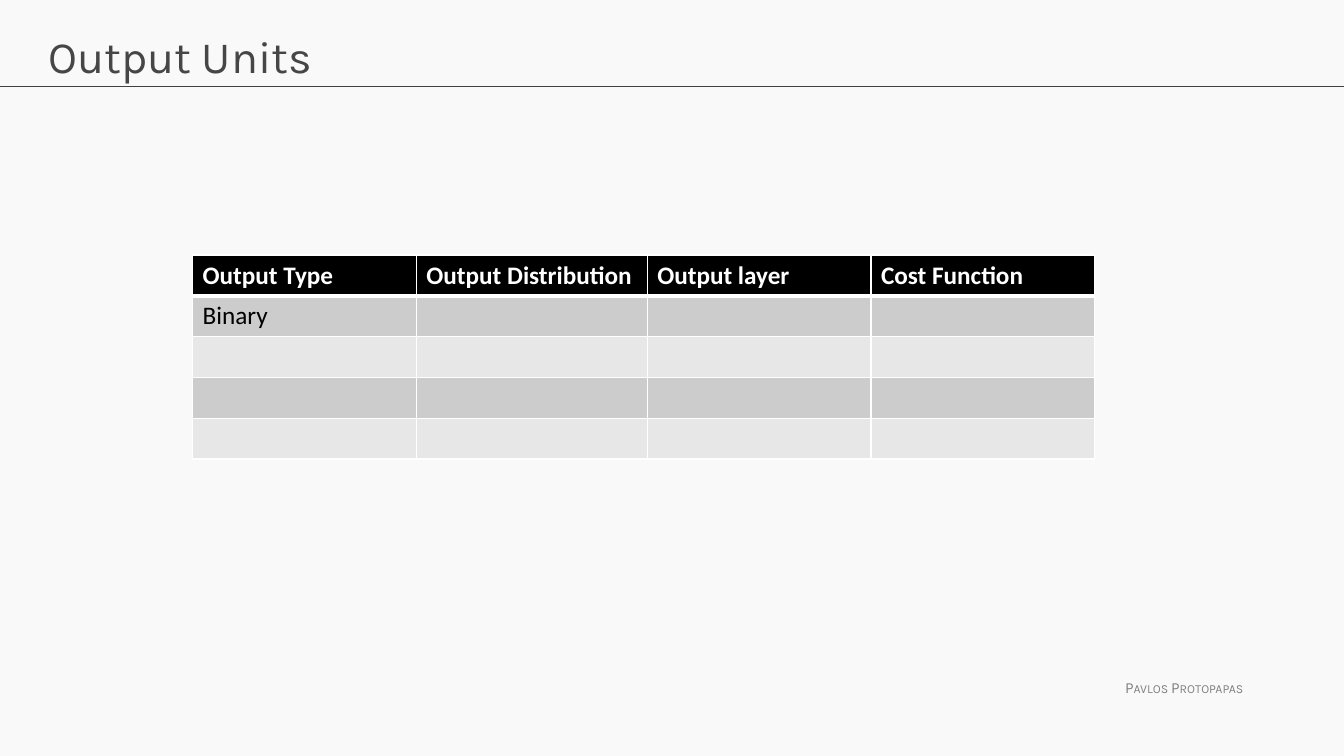
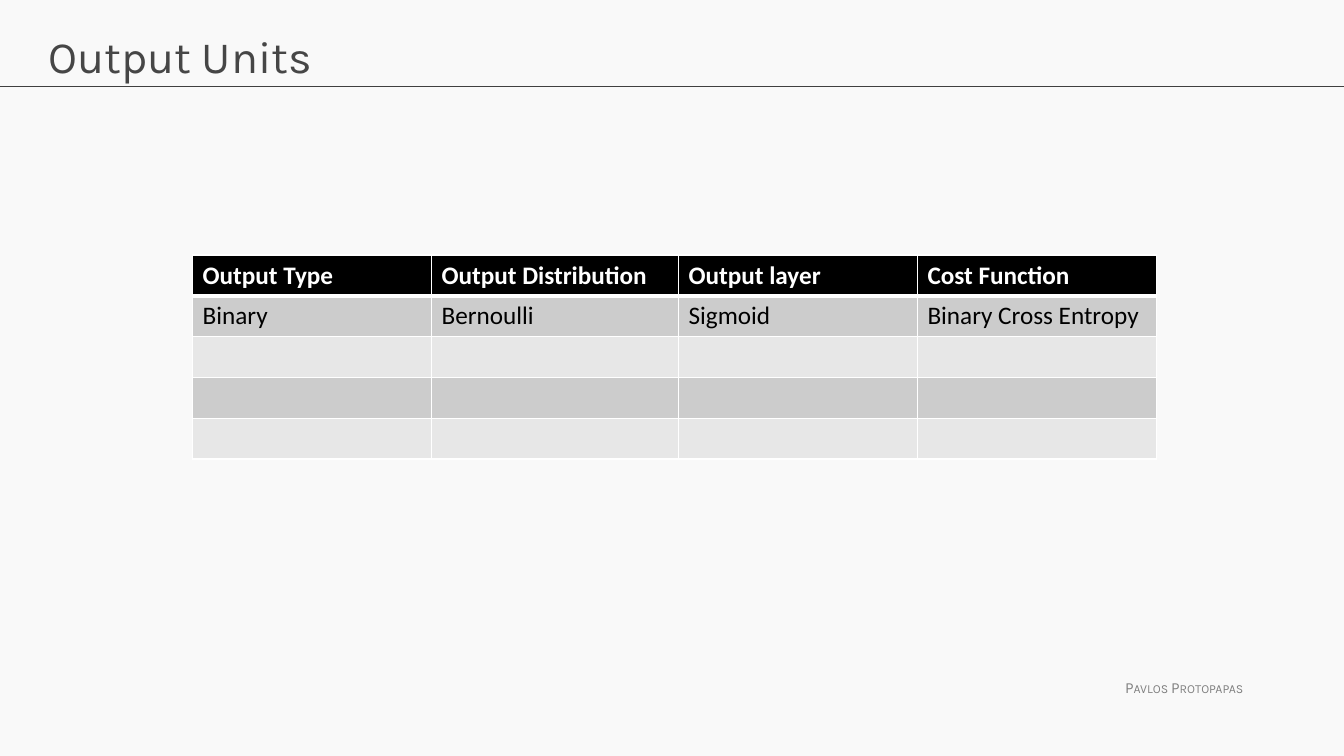
from lxml import etree
from pptx import Presentation
from pptx.dml.color import RGBColor
from pptx.enum.shapes import MSO_CONNECTOR
from pptx.enum.text import MSO_ANCHOR, MSO_AUTO_SIZE
from pptx.oxml.ns import qn
from pptx.util import Inches, Pt

STRAIGHT = MSO_CONNECTOR.STRAIGHT
TOP = MSO_ANCHOR.TOP
FIT_SHAPE = MSO_AUTO_SIZE.SHAPE_TO_FIT_TEXT

BACKGROUND = RGBColor(0xF9, 0xF9, 0xF9)
RULE = RGBColor(0x40, 0x40, 0x40)
TITLE = RGBColor(0x46, 0x46, 0x46)
AUTHOR = RGBColor(0x80, 0x80, 0x80)
BLACK = RGBColor(0x00, 0x00, 0x00)
WHITE = RGBColor(0xFF, 0xFF, 0xFF)
DARK_BAND = RGBColor(0xCC, 0xCC, 0xCC)
LIGHT_BAND = RGBColor(0xE7, 0xE7, 0xE7)

HEADINGS = ["Output Type", "Output Distribution", "Output layer", "Cost Function"]
ROW_COUNT = 5
ROW_HEIGHT = 0.405
TABLES = [
    ([2.22, 2.29, 2.22, 2.22], ["Binary", "", "", ""]),
    ([2.37, 2.45, 2.37, 2.37],
     ["Binary", "Bernoulli", "Sigmoid", "Binary Cross Entropy"]),
]


def add_label(slide, text, left, top, width, height, size, color):
    label = slide.shapes.add_textbox(
        Inches(left), Inches(top), Inches(width), Inches(height))
    label.text_frame.text = text
    label.text_frame.vertical_anchor = TOP
    font = label.text_frame.paragraphs[0].runs[0].font
    font.name = "Karla"
    font.size = Pt(size)
    font.color.rgb = color
    return label


def add_border(cell, side, points):
    line = etree.SubElement(cell._tc.get_or_add_tcPr(), qn(f"a:ln{side}"), w=str(Pt(points)))
    fill = etree.SubElement(line, qn("a:solidFill"))
    etree.SubElement(fill, qn("a:srgbClr"), val=str(WHITE))


prs = Presentation()
prs.slide_width = Inches(13.33)
prs.slide_height = Inches(7.5)
blank = prs.slide_layouts[6]
prs.slide_master.background.fill.solid()
prs.slide_master.background.fill.fore_color.rgb = BACKGROUND

for column_widths, first_row in TABLES:
    slide = prs.slides.add_slide(blank)

    title_rule = slide.shapes.add_connector(
        STRAIGHT, 0, Inches(0.86), prs.slide_width, Inches(0.86))
    title_rule.line.color.rgb = RULE
    title_rule.line.width = Pt(0.75)
    etree.SubElement(title_rule._element.spPr, qn("a:effectLst"))

    author = add_label(slide, "Pavlos Protopapas", 11.06, 6.68, 1.41, 0.29, 11, AUTHOR)
    author.text_frame.word_wrap = False
    author.text_frame.auto_size = FIT_SHAPE
    author.text_frame.paragraphs[0].runs[0].font._element.set("cap", "small")

    title = add_label(slide, "Output Units", 0.38, 0.24, 12.57, 0.84, 32, TITLE)
    title.text_frame.word_wrap = True

    output_units = slide.shapes.add_table(
        ROW_COUNT, len(HEADINGS), Inches(1.91), Inches(2.53),
        Inches(sum(column_widths)), Inches(ROW_COUNT * ROW_HEIGHT)).table
    for column, width in zip(output_units.columns, column_widths):
        column.width = Inches(width)

    contents = [HEADINGS, first_row]
    for row_index, row in enumerate(output_units.rows):
        row.height = Inches(ROW_HEIGHT)
        is_header = row_index == 0
        band = BLACK if is_header else DARK_BAND if row_index % 2 else LIGHT_BAND
        for column_index, cell in enumerate(row.cells):
            for side in "LRTB":
                below_header = (row_index, side) in [(0, "B"), (1, "T")]
                add_border(cell, side, 3 if below_header else 1)
            cell.fill.solid()
            cell.fill.fore_color.rgb = band
            if row_index < len(contents):
                cell.text_frame.text = contents[row_index][column_index]
            for run in cell.text_frame.paragraphs[0].runs:
                run.font.name = "Calibri"
                run.font.size = Pt(18)
                run.font.bold = is_header
                run.font.color.rgb = WHITE if is_header else BLACK

prs.save("out.pptx")
